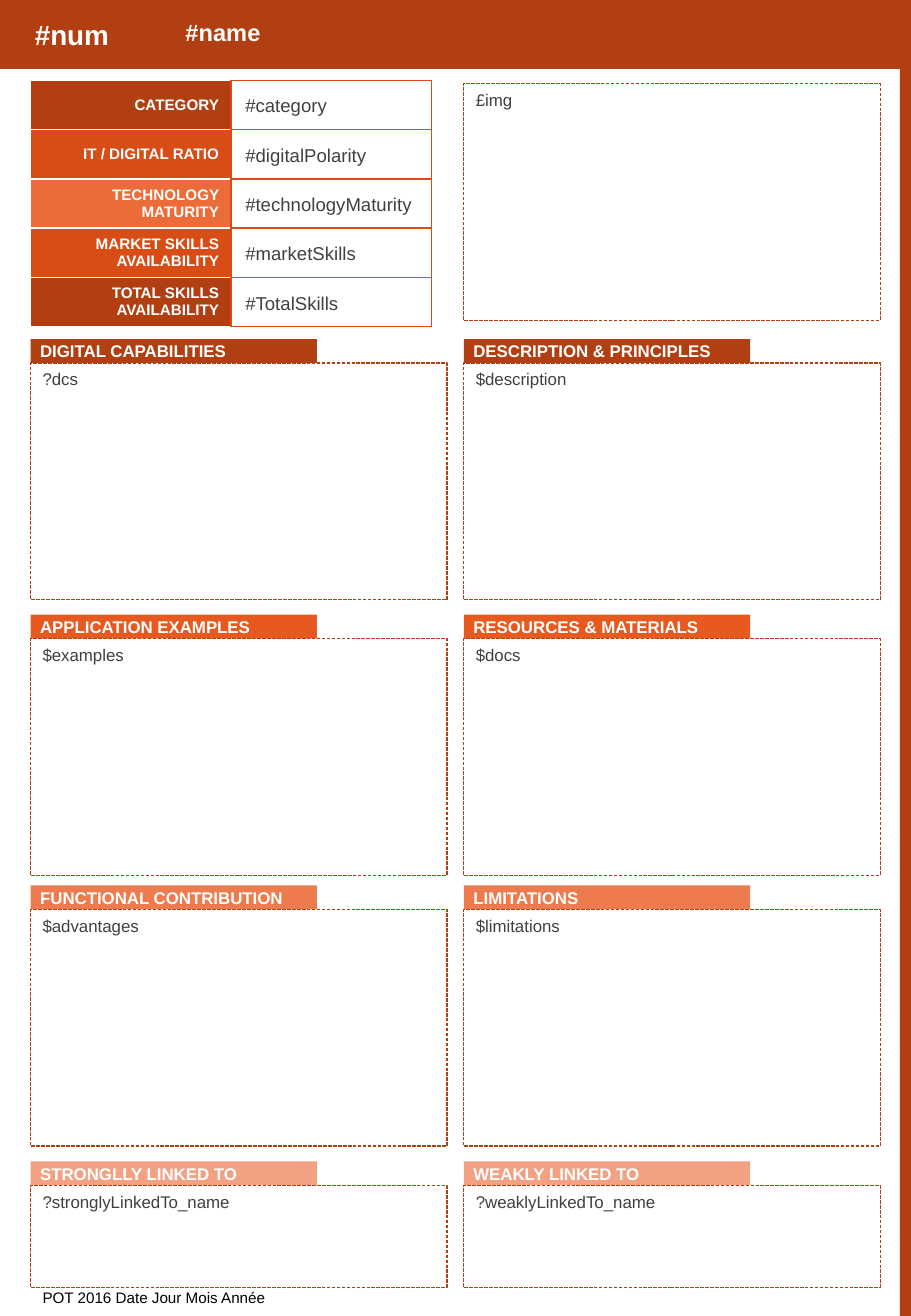
import pptx
import pptx.util
import pptx.dml.color
import pptx.enum.dml
import pptx.enum.shapes
import pptx.enum.text
import pptx.oxml.ns
from lxml import etree

Cm, Pt = pptx.util.Cm, pptx.util.Pt
ALIGN = pptx.enum.text.PP_ALIGN
ANCHOR = pptx.enum.text.MSO_ANCHOR

# Content
COLORS = {"rust": "B23F12", "orange": "D84D16", "coral": "EB6C39", "bright": "E85920",
          "salmon": "ED7B4D", "peach": "F2A282", "white": "FFFFFF", "grey": "404040",
          "black": "000000"}

# label, label fill, value, value box width
RATINGS = [
    ("CATEGORY", "rust", "#category", 3.35),
    ("IT / DIGITAL RATIO", "orange", "#digitalPolarity", 3.84),
    ("TECHNOLOGY MATURITY", "coral", "#technologyMaturity", 4.85),
    ("MARKET SKILLS AVAILABILITY", "orange", "#marketSkills", 3.81),
    ("TOTAL SKILLS AVAILABILITY", "rust", "#TotalSkills", 4.85),
]

# top, box height, heading fill, (heading, body) for the left and right columns
SECTIONS = [
    (7.09, 4.95, "rust", [("DIGITAL CAPABILITIES", "?dcs"),
                          ("DESCRIPTION & PRINCIPLES", "$description")]),
    (12.85, 4.95, "bright", [("APPLICATION EXAMPLES", "$examples"),
                             ("RESOURCES & MATERIALS", "$docs")]),
    (18.51, 4.95, "salmon", [("FUNCTIONAL CONTRIBUTION", "$advantages"),
                             ("LIMITATIONS", "$limitations")]),
    (24.28, 2.13, "peach", [("STRONGLLY LINKED TO", "?stronglyLinkedTo_name"),
                            ("WEAKLY LINKED TO", "?weaklyLinkedTo_name")]),
]

# text, left, top, width, height, size, colour, bold, wrap
LABELS = [
    ("#num", 0.48, 0.25, 3.2, 0.96, 16.5, "white", True, True),
    ("#name", 3.63, 0.25, 14.15, 0.86, 14, "white", True, True),
    ("POT 2016 Date Jour Mois Année", 0.64, 26.8, 5.23, 0.63, 9, "black", False, False),
]

# Layout, in cm
PAGE_W, PAGE_H = 19.05, 27.51
COLUMNS = (0.64, 9.7)
BOX_W, HEAD_W, HEAD_H = 8.71, 5.99, 0.5
TABLE_TOP, ROW_H, CELL_W = 1.68, 1.03, 4.19
VALUE_LEFT, VALUE_TOP = 4.88, 1.85


def rgb(name):
    return pptx.dml.color.RGBColor.from_string(COLORS[name])


def write(tf, text, size, color, bold=False, align=ALIGN.LEFT):
    p = tf.paragraphs[0]
    p.alignment = align
    r = p.add_run()
    r.text = text
    r.font.name = "Arial"
    r.font.size = Pt(size)
    r.font.bold = bold
    r.font.color.rgb = rgb(color)


def add_rect(x, y, w, h, fill):
    sp = s.shapes.add_shape(pptx.enum.shapes.MSO_SHAPE.RECTANGLE, Cm(x), Cm(y), Cm(w), Cm(h))
    sp.shadow.inherit = False
    sp.fill.solid()
    sp.fill.fore_color.rgb = rgb(fill)
    sp.line.fill.background()
    return sp


def add_heading(x, y, text, fill):
    tf = add_rect(x, y, HEAD_W, HEAD_H, fill).text_frame
    tf.vertical_anchor = ANCHOR.MIDDLE
    tf.margin_left = tf.margin_right = Cm(0.2)
    write(tf, text, 10, "white", bold=True)


def add_box(x, y, h, text):
    sp = add_rect(x, y, BOX_W, h, "white")
    sp.line.color.rgb = rgb("rust")
    sp.line.width = Pt(0)
    sp.line.dash_style = pptx.enum.dml.MSO_LINE.SQUARE_DOT
    sp.text_frame.vertical_anchor = ANCHOR.TOP
    write(sp.text_frame, text, 10, "grey")


def add_label(text, x, y, w, h, size, color, bold=False, wrap=True):
    tf = s.shapes.add_textbox(Cm(x), Cm(y), Cm(w), Cm(h)).text_frame
    tf.word_wrap = wrap
    write(tf, text, size, color, bold)


def style_cell(cell, fill, borders):
    """Borders are colour names in the order left, right, top, bottom."""
    qn = pptx.oxml.ns.qn
    tcPr = cell._tc.get_or_add_tcPr()
    for side, color in zip("LRTB", borders):
        ln = etree.SubElement(tcPr, qn("a:ln" + side), w=str(Pt(1)))
        solid = etree.SubElement(ln, qn("a:solidFill"))
        etree.SubElement(solid, qn("a:srgbClr"), val=COLORS[color])
    cell.fill.solid()
    cell.fill.fore_color.rgb = rgb(fill)
    cell.vertical_anchor = ANCHOR.MIDDLE


prs = pptx.Presentation()
prs.slide_width, prs.slide_height = Cm(PAGE_W), Cm(PAGE_H)
s = prs.slides.add_slide(prs.slide_layouts[6])

# Side strip and top banner
add_rect(18.82, 0, 0.23, PAGE_H, "rust")
add_rect(0, -0.03, PAGE_W, 1.47, "rust")

# Ratings table with its values
table = s.shapes.add_table(len(RATINGS), 2, Cm(COLUMNS[0]), Cm(TABLE_TOP),
                           Cm(2 * CELL_W), Cm(len(RATINGS) * ROW_H)).table
for column in table.columns:
    column.width = Cm(CELL_W)
for i, (label, fill, value, width) in enumerate(RATINGS):
    table.rows[i].height = Cm(ROW_H)
    label_cell, value_cell = table.cell(i, 0), table.cell(i, 1)
    style_cell(label_cell, fill, ("white", "orange", "white", "white"))
    style_cell(value_cell, "white", ("orange",) * 4)
    write(label_cell.text_frame, label, 9, "white", True, ALIGN.RIGHT)
    value_cell.text_frame.paragraphs[0].font.size = Pt(9)
    add_label(value, VALUE_LEFT, VALUE_TOP + i * ROW_H, width, 0.74, 11, "grey")

# Image area and headed sections
add_box(COLUMNS[1], 1.75, 4.95, "£img")
for top, height, fill, pair in SECTIONS:
    for x, (heading, body) in zip(COLUMNS, pair):
        add_heading(x, top, heading, fill)
        add_box(x, top + HEAD_H, height, body)

# Banner texts and footer
for label in LABELS:
    add_label(*label)

prs.save("out.pptx")
